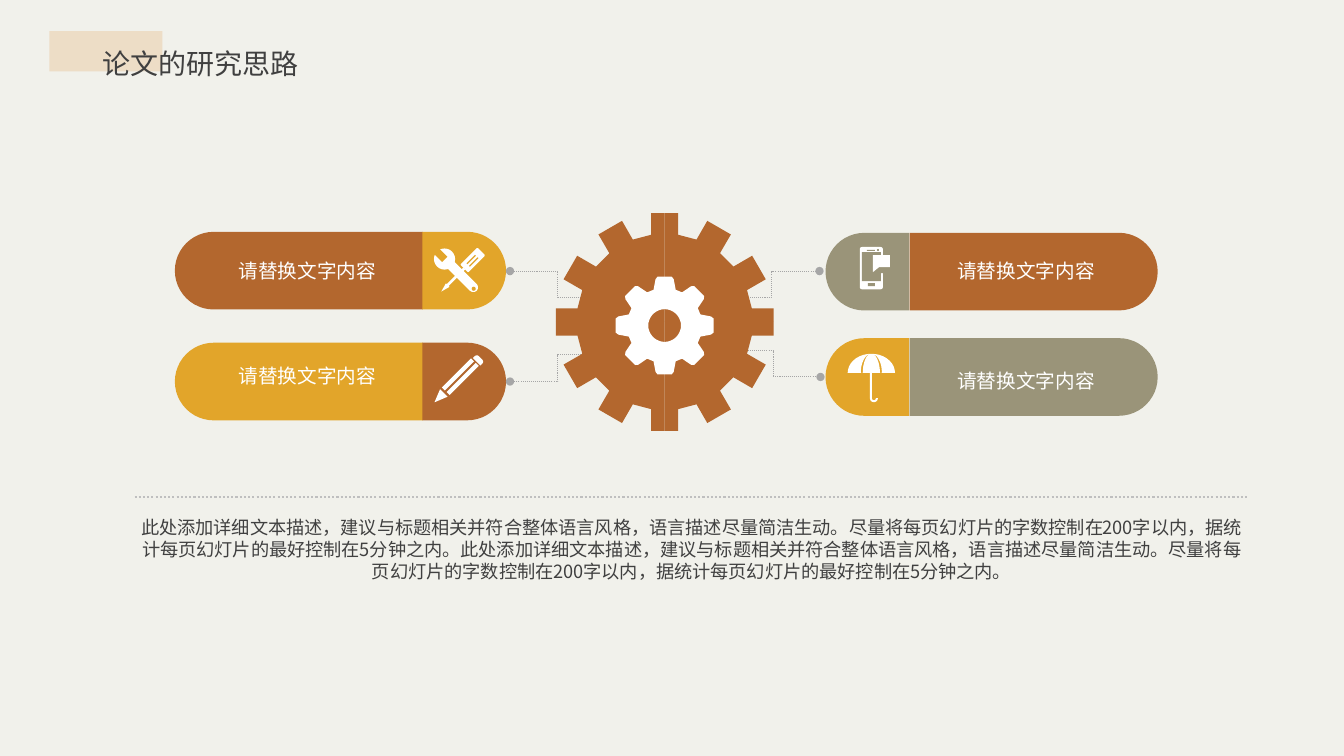
"""Builds a slide with a gear in the middle, four labelled pills and a note."""
from math import cos, radians, sin

from lxml import etree
from pptx import Presentation
from pptx.dml.color import RGBColor
from pptx.enum.dml import MSO_LINE
from pptx.enum.shapes import MSO_CONNECTOR, MSO_SHAPE
from pptx.enum.text import MSO_AUTO_SIZE, PP_ALIGN
from pptx.oxml.ns import qn
from pptx.util import Pt

RECT, OVAL, ROUNDED = MSO_SHAPE.RECTANGLE, MSO_SHAPE.OVAL, MSO_SHAPE.ROUNDED_RECTANGLE
DOME, ARC = MSO_SHAPE.ROUND_2_SAME_RECTANGLE, MSO_SHAPE.BLOCK_ARC
TRIANGLE, CORNER = MSO_SHAPE.ISOSCELES_TRIANGLE, MSO_SHAPE.RIGHT_TRIANGLE
ELBOW, STRAIGHT = MSO_CONNECTOR.ELBOW, MSO_CONNECTOR.STRAIGHT
SYS_DOT, GROW = MSO_LINE.ROUND_DOT, MSO_AUTO_SIZE.SHAPE_TO_FIT_TEXT
CENTER, JUSTIFY = PP_ALIGN.CENTER, PP_ALIGN.JUSTIFY
FONT = "Noto Sans CJK SC"
RUST, GOLD, OLIVE, WHITE, DARK = "B3672E", "E2A52A", "9A9479", "FFFFFF", "404040"
ADJUST = {DOME: (0.5, 0), ROUNDED: (0.1,)}

prs = Presentation()
prs.slide_width, prs.slide_height = 12192000, 6858000
s = prs.slides.add_slide(prs.slide_layouts[6])
CELL = prs.slide_height // 75


def paint(fill, colour):
    """Fill with one solid hex colour."""
    fill.solid()
    fill.fore_color.rgb = RGBColor.from_string(colour)


def spin(points, angle):
    """Rotate points about the origin by an angle in degrees."""
    c, d = cos(radians(angle)), sin(radians(angle))
    return [(x * c - y * d, x * d + y * c) for x, y in points]


paint(s.background.fill, "F1F1EB")

# Presets: kind, centre x, centre y, width, height, rotation, colour
presets = [(RECT, 10.5, 5.1, 11.2, 4, 0, "EDDDC6")]

PILL_H, BODY_W, CAP_W = 7.7, 24.6, 8.3
LEFT, RIGHT = (29.65, 46.05, 270), (102.55, 86.05, 90)
pills = [(RIGHT, 26.95, RUST, OLIVE), (RIGHT, 37.4, OLIVE, GOLD),
         (LEFT, 37.85, GOLD, RUST), (LEFT, 26.85, RUST, GOLD)]
for (body_x, cap_x, turn), y, body_colour, cap_colour in pills:
    presets += [(DOME, body_x, y, PILL_H, BODY_W, turn, body_colour),
                (DOME, cap_x, y, PILL_H, CAP_W, 360 - turn, cap_colour)]

# Icon parts are placed relative to the icon's centre
wrench = [(OVAL, -1.8, -1.2, 2.1, 2.1, 0, WHITE),
          (RECT, -2.2, -1.6, 0.75, 1.2, 315, GOLD),
          (DOME, 0.05, 0.6, 0.95, 3.8, 135, WHITE),
          (OVAL, 1.1, 1.75, 0.4, 0.4, 0, GOLD)]
screwdriver = [(ROUNDED, 1, -1.1, 1.1, 2.4, 45, WHITE),
               (RECT, 0.85, -1.15, 0.12, 1.2, 45, GOLD),
               (RECT, 1.1, -0.9, 0.12, 1.2, 45, GOLD),
               (RECT, -0.7, 0.6, 0.25, 2.4, 45, WHITE),
               (TRIANGLE, -1.8, 1.7, 0.5, 0.9, 225, WHITE)]
pencil = [(TRIANGLE, -1.93, 1.85, 1.05, 1.3, 225, WHITE),
          (RECT, -0.07, -0.45, 0.42, 4.1, 45, WHITE),
          (RECT, 0.4, 0, 0.42, 4.1, 45, WHITE),
          (DOME, 1.98, -1.9, 1.05, 0.55, 45, WHITE)]
phone = [(ROUNDED, 0, 0, 2.3, 4.2, 0, WHITE),
         (RECT, 0, -0.15, 1.9, 2.9, 0, OLIVE),
         (RECT, 1.05, -0.2, 0.25, 1.4, 0, OLIVE),
         (RECT, -0.05, -1.75, 0.8, 0.1, 0, OLIVE),
         (OVAL, 0.65, -1.8, 0.2, 0.2, 0, OLIVE),
         (RECT, 0, 1.65, 0.7, 0.3, 0, OLIVE),
         (RECT, 1, -0.7, 1.7, 1.2, 0, WHITE),
         (CORNER, 0.45, 0.15, 0.5, 0.6, 90, WHITE)]
umbrella_handle = [(RECT, -0.05, 1.2, 0.2, 2.6, 0, WHITE),
                   (ARC, 0.25, 2.5, 0.8, 0.8, 180, WHITE)]
UMBRELLA = (86.45, 37)
icons = [(45.9, 26.9, wrench + screwdriver), (45.5, 37.6, pencil),
         (86.45, 26.6, phone), (*UMBRELLA, umbrella_handle)]
for icon_x, icon_y, parts in icons:
    presets += [(kind, icon_x + x, icon_y + y, *rest) for kind, x, y, *rest in parts]

for kind, x, y, w, h, turn, colour in presets:
    box = (x - w / 2, y - h / 2, w, h)
    sp = s.shapes.add_shape(kind, *[round(v * CELL) for v in box])
    for i, value in enumerate(ADJUST.get(kind, ())):
        sp.adjustments[i] = value
    sp.rotation = turn
    sp.shadow.inherit = False
    paint(sp.fill, colour)
    sp.line.fill.background()

links = [
    (ELBOW, 71.8, 29.5, 81.3, 26.9, "A6A6A6", 0.75),
    (ELBOW, 72, 34.8, 81.4, 37.4, "A6A6A6", 0.75),
    (ELBOW, 60.1, 35.2, 50.6, 37.85, "A6A6A6", 0.75),
    (ELBOW, 60.1, 29.5, 50.6, 26.9, "A6A6A6", 0.75),
    (STRAIGHT, 13.35, 49.3, 123.75, 49.3, "BFBFBF", 1.5),
]
for kind, *ends, colour, width in links:
    link = s.shapes.add_connector(kind, *[round(v * CELL) for v in ends])
    paint(link.line.fill, colour)
    link.line.width = Pt(width)
    link.line.dash_style = SYS_DOT
    if kind == ELBOW:
        for end in ("a:headEnd", "a:tailEnd"):
            etree.SubElement(link.line._ln, qn(end), type="oval")
    etree.SubElement(link._element.spPr, qn("a:effectLst"))

# Outlines: centre x, centre y, contours, colour; inner contours cut holes
canopy = [[(rx * cos(radians(a)), -1.9 * sin(radians(a))) for a in range(0, 181, 10)]
          for rx in (2.35, 1.05, 0.85)]
outlines = [(*UMBRELLA, canopy, WHITE)]

GEAR_X, GEAR_Y, HUB_Y = 65.94, 31.94, 32.3
OUTER, ROOT, HALF = 10.8, 8.65, 1.35
tooth = [(ROOT, -HALF), (OUTER, -HALF), (OUTER, HALF), (ROOT, HALF)]
quarter = [(0, 0), (OUTER, 0), *tooth[2:], *spin(tooth, 30), *spin(tooth, 60),
           *spin(tooth[:2], 90), (0, OUTER)]
for turn in range(0, 360, 90):
    outlines.append((GEAR_X, GEAR_Y, [spin(quarter, turn)], RUST))

cog = [(3.55, -1.1), (4.6, -0.9), (4.85, -0.7), (4.85, 0.7), (4.6, 0.9), (3.55, 1.1)]
hub = [point for turn in range(0, 360, 45) for point in spin(cog, turn)]
hole = [point for turn in range(0, 360, 10) for point in spin([(1.62, 0)], turn)]
outlines.append((GEAR_X, HUB_Y, [hub, hole], WHITE))

for x, y, contours, colour in outlines:
    first, *holes = [[(100 * (x + u), 100 * (y + v)) for u, v in contour]
                     for contour in contours]
    builder = s.shapes.build_freeform(*first[0], scale=CELL / 100)
    builder.add_line_segments(first[1:], close=True)
    for cut in holes:
        builder.move_to(*cut[0])
        builder.add_line_segments(cut[1:], close=True)
    sp = builder.convert_to_shape()
    sp.shadow.inherit = False
    paint(sp.fill, colour)
    sp.line.fill.background()

LABEL = "请替换文字内容"
NOTE = ("此处添加详细文本描述，建议与标题相关并符合整体语言风格，语言描述尽量简洁生动。"
        "尽量将每页幻灯片的字数控制在200字以内，据统计每页幻灯片的最好控制在5分钟之内。")
texts = [("论文的研究思路", 9.15, 2.45, 35, 5.5, 20, DARK, JUSTIFY, 1.5, 1)]
for x, y, h, spacing in ((93.7, 25.2, 3.4, 1.0), (93.7, 36.1, 3.4, 1.0),
                         (22.4, 25.45, 3.1, 0.9), (22.4, 35.9, 3.1, 0.9)):
    texts.append((LABEL, x, y, 16.2, h, 14, WHITE, CENTER, spacing, 1))
texts.append((NOTE * 2, 13.25, 51.2, 110.7, 6.7, 13, DARK, CENTER, 1.0, 0))

for text, *box, size, colour, align, spacing, inset in texts:
    tf = s.shapes.add_textbox(*[round(v * CELL) for v in box]).text_frame
    tf.word_wrap = True
    tf.auto_size = GROW
    if not inset:
        tf.margin_left = tf.margin_right = tf.margin_top = tf.margin_bottom = 0
    p = tf.paragraphs[0]
    p.text = text
    p.alignment = align
    p.line_spacing = spacing
    r = p.runs[0]
    r.font.size = Pt(size)
    r.font.name = FONT
    paint(r.font.fill, colour)
    etree.SubElement(r._r.get_or_add_rPr(), qn("a:ea"), typeface=FONT)

prs.save("out.pptx")
